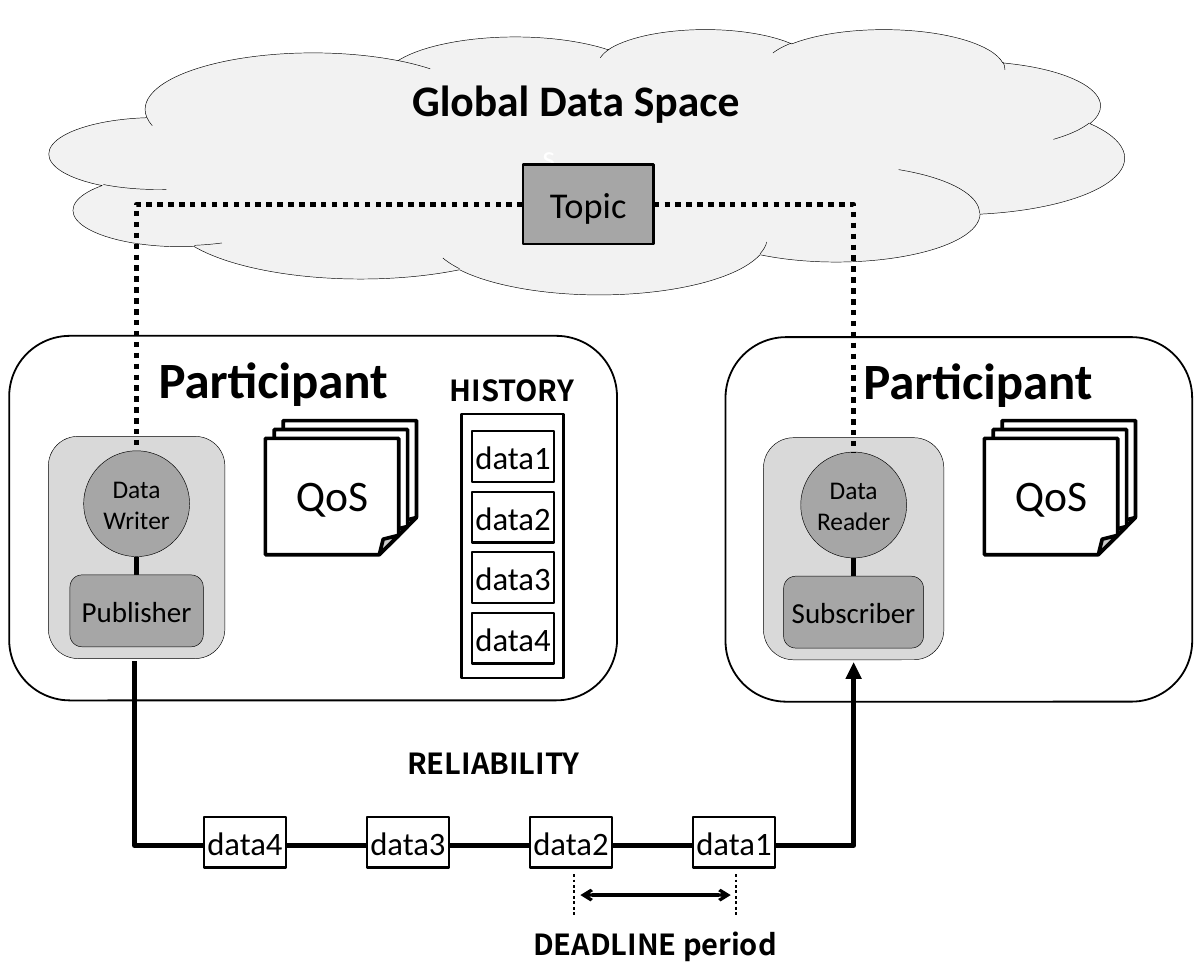
from dataclasses import dataclass

from lxml import etree
from pptx import Presentation
from pptx.dml.color import RGBColor
from pptx.enum.dml import MSO_LINE
from pptx.enum.shapes import MSO_CONNECTOR, MSO_SHAPE
from pptx.enum.text import MSO_ANCHOR, PP_ALIGN
from pptx.oxml.ns import qn
from pptx.util import Inches, Pt

CLOUD, RECTANGLE, ROUNDED = MSO_SHAPE.CLOUD, MSO_SHAPE.RECTANGLE, MSO_SHAPE.ROUNDED_RECTANGLE
OVAL, PAGE = MSO_SHAPE.OVAL, MSO_SHAPE.FOLDED_CORNER
STRAIGHT, ELBOW = MSO_CONNECTOR.STRAIGHT, MSO_CONNECTOR.ELBOW
DOTTED = MSO_LINE.ROUND_DOT
TOP, LEFT, RIGHT = 0, 1, 3  # connection sites


@dataclass(frozen=True)
class Theme:
    ink: str = "000000"
    paper: str = "FFFFFF"
    cloud: str = "F2F2F2"
    panel: str = "D9D9D9"
    node: str = "A6A6A6"
    body_font: str = "Calibri"
    label_font: str = "Noto Sans CJK JP"
    participant: int = 28
    heading: int = 24
    topic: int = 20
    data: int = 18
    label: int = 16
    endpoint: int = 14
    hairline: float = 0.25
    thin: float = 1
    box: float = 1.25
    mark: float = 1.5
    arrow: float = 1.75
    page: float = 2
    bold: float = 3


THEME = Theme()

# Positions are columns and rows of a grid with ten cells to the inch.
COLUMNS, ROWS = 92.1, 75
SAMPLES = ["data1", "data2", "data3", "data4"]
SAMPLE_SIZE = (6.3, 3.9)
PARTICIPANTS = [
    {"frame": (0.7, 25.7, 46.5, 27.9), "title": (11, 26.1), "panel": (3.7, 33.4, 13.5, 17),
     "endpoint": ["Data", "Writer"], "role": "Publisher", "role_width": 10.2, "qos": 20.3},
    {"frame": (55.5, 25.8, 35.7, 27.9), "title": (64.9, 26.2), "panel": (58.4, 33.5, 13.8, 17),
     "endpoint": ["Data", "Reader"], "role": "Subscriber", "role_width": 10.7, "qos": 75.3},
]
LABELS = [
    ("DEADLINE period", (38.7, 70.4, 22.8, 3.7)),
    ("HISTORY", (32.7, 28, 12.9, 3.7)),
    ("RELIABILITY", (28.9, 56.6, 17.7, 3.7)),
]
TRANSPORT = [(10.3, 50.6), (10.3, 64.7), (65.3, 64.7), (65.3, 50.7)]
PERIOD = (43.9, 56.3)

presentation = Presentation()
cell = Inches(0.1)
presentation.slide_width, presentation.slide_height = int(COLUMNS * cell), int(ROWS * cell)
slide = presentation.slides.add_slide(presentation.slide_layouts[6])


def grid(*lengths):
    """Turn grid lengths into slide units."""
    return [int(length * cell) for length in lengths]


def write(shape, lines, size, color=THEME.ink, font=THEME.body_font, bold=False):
    frame = shape.text_frame
    for index, line in enumerate(lines):
        paragraph = frame.add_paragraph() if index else frame.paragraphs[0]
        paragraph.alignment = PP_ALIGN.CENTER
        run = paragraph.add_run()
        run.text = line
        run.font.size, run.font.name, run.font.bold = Pt(size), font, bold
        run.font.color.rgb = RGBColor.from_string(color)


def add_label(text, box, size, font=THEME.body_font):
    label = slide.shapes.add_textbox(*grid(*box))
    label.text_frame.word_wrap = False
    write(label, [text], size, font=font, bold=True)


def style_line(line, weight, dash=None):
    line.color.rgb = RGBColor.from_string(THEME.ink)
    line.width = Pt(weight)
    if dash:
        line.dash_style = dash


def add_arrowheads(shape, **ends):
    outline = shape._element.spPr.find(qn("a:ln"))
    for end, kind in ends.items():
        etree.SubElement(outline, qn(f"a:{end}"), type=kind)


def add_box(kind, box, fill, weight, lines=(), size=THEME.data, color=THEME.ink, insets=(0, 0.5, 0, 0.5)):
    shape = slide.shapes.add_shape(kind, *grid(*box))
    shape.shadow.inherit = False
    shape.fill.solid()
    shape.fill.fore_color.rgb = RGBColor.from_string(fill)
    style_line(shape.line, weight)
    frame = shape.text_frame
    frame.vertical_anchor = MSO_ANCHOR.MIDDLE
    frame.margin_left, frame.margin_top, frame.margin_right, frame.margin_bottom = grid(*insets)
    write(shape, lines, size, color)
    return shape


def add_line(start, end, weight, dash=None, kind=STRAIGHT):
    connector = slide.shapes.add_connector(kind, *grid(*start, *end))
    style_line(connector.line, weight, dash)
    etree.SubElement(connector._element.spPr, qn("a:effectLst"))
    return connector


def join_topic(site, endpoint):
    """Lead a dotted line with one bend from a side of the topic to the top of an endpoint."""
    connector = add_line((0, 0), (0, 0), THEME.bold, DOTTED, ELBOW)
    connector.begin_connect(topic, site)
    connector.end_connect(endpoint, TOP)
    connector._element.spPr.find(qn("a:prstGeom")).set("prst", "bentConnector2")


def add_sample(text, left, top):
    add_box(RECTANGLE, (left, top, *SAMPLE_SIZE), THEME.paper, THEME.box, [text])


def add_participant(participant):
    """Draw one participant and return its data endpoint."""
    add_box(ROUNDED, participant["frame"], THEME.paper, THEME.thin)
    left, top, width, height = participant["panel"]
    add_box(ROUNDED, participant["panel"], THEME.panel, THEME.hairline)
    center, diameter, role_width = left + width / 2, 8.1, participant["role_width"]
    add_line((center, top + 9.2), (center, top + 13.9), THEME.bold)
    endpoint = add_box(OVAL, (center - diameter / 2, top + 1.1, diameter, diameter), THEME.node,
                       THEME.hairline, participant["endpoint"], THEME.endpoint, insets=(0, 0, 0, 0))
    add_box(ROUNDED, (center - role_width / 2, top + 10.6, role_width, 5.5), THEME.node,
            THEME.hairline, [participant["role"]], THEME.label)
    add_label("Participant", (*participant["title"], 19.8, 5.7), THEME.participant)
    for step in (2, 1, 0):
        add_box(PAGE, (participant["qos"] + 0.68 * step, 33.55 - 0.68 * step, 10.2, 8.9), THEME.paper,
                THEME.page, [] if step else ["QoS"], THEME.heading, insets=(1, 1.6, 1, 0.5))
    return endpoint


add_box(CLOUD, (3.8, 2.2, 82.2, 20.3), THEME.cloud, THEME.hairline, ["s"], color=THEME.paper,
        insets=(1, 0.5, 1, 0.5))
add_label("Global Data Space", (30.4, 5.1, 27.3, 5), THEME.heading)
topic = add_box(RECTANGLE, (40, 12.6, 10, 6.1), THEME.node, THEME.box, ["Topic"], THEME.topic)

writer, reader = [add_participant(participant) for participant in PARTICIPANTS]
join_topic(LEFT, writer)
join_topic(RIGHT, reader)

add_box(RECTANGLE, (35.3, 31.7, 7.8, 20.2), THEME.paper, THEME.box)
for index, sample in enumerate(SAMPLES):
    add_sample(sample, 36.1, 33 + 4.63 * index)

period_start, period_end = PERIOD
period_arrow = add_line((period_start + 0.5, 68.5), (period_end - 0.4, 68.5), THEME.arrow)
add_arrowheads(period_arrow, headEnd="arrow", tailEnd="arrow")
for column in PERIOD:
    add_line((column, 66.9), (column, 70.1), THEME.mark, DOTTED)
for text, box in LABELS:
    add_label(text, box, THEME.label, THEME.label_font)

corners = [grid(*point) for point in TRANSPORT]
builder = slide.shapes.build_freeform(*corners[0])
builder.add_line_segments(corners[1:], close=False)
transport = builder.convert_to_shape()
transport.shadow.inherit = False
transport.fill.background()
style_line(transport.line, THEME.bold)
add_arrowheads(transport, tailEnd="triangle")
for index, sample in enumerate(SAMPLES):
    add_sample(sample, 53 - 12.47 * index, 62.5)

presentation.save("out.pptx")
